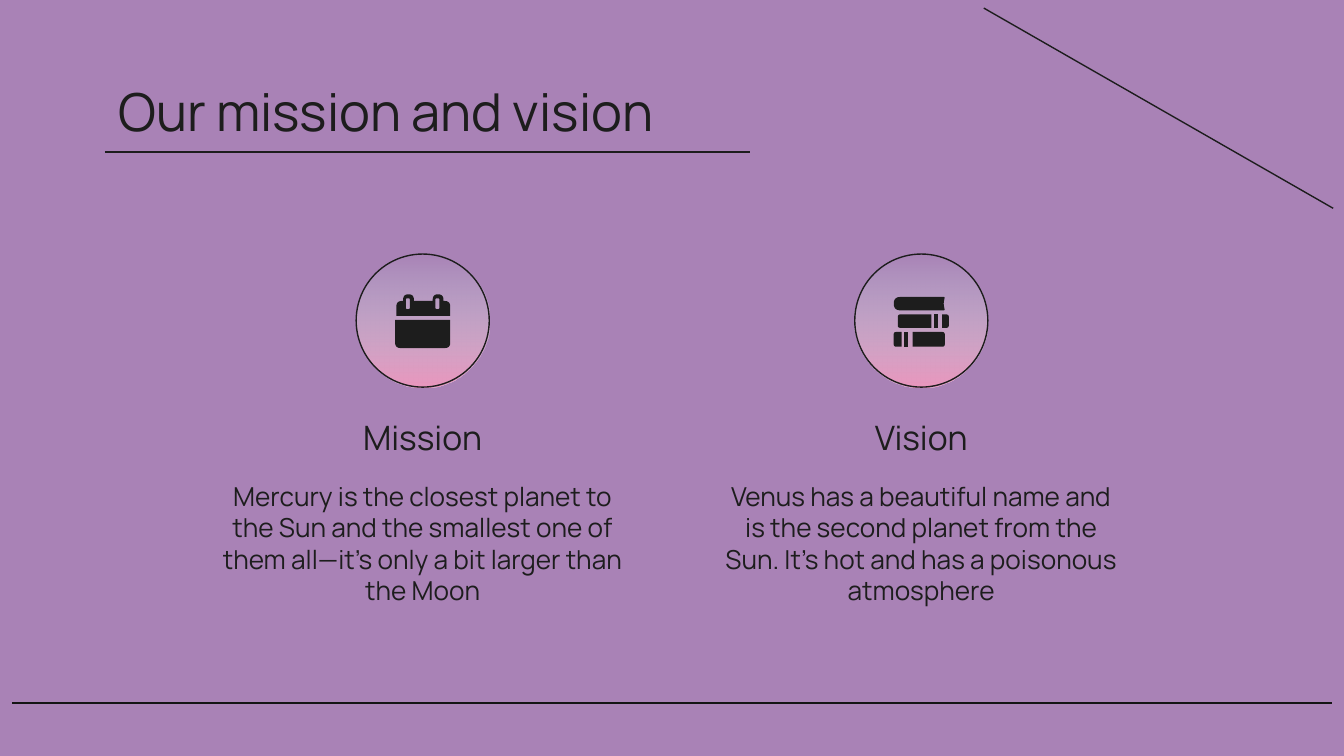
from math import hypot

from lxml import etree
from pptx import Presentation
from pptx.dml.color import RGBColor
from pptx.enum.shapes import MSO_CONNECTOR, MSO_SHAPE
from pptx.enum.text import MSO_ANCHOR, MSO_AUTO_SIZE, PP_ALIGN
from pptx.oxml.ns import qn
from pptx.util import Inches, Pt

STRAIGHT = MSO_CONNECTOR.STRAIGHT
OVAL = MSO_SHAPE.OVAL
MIDDLE = MSO_ANCHOR.MIDDLE
NO_AUTOFIT = MSO_AUTO_SIZE.NONE
LEFT, CENTER = PP_ALIGN.LEFT, PP_ALIGN.CENTER
COMPARISON_LAYOUT = 4
CURVE_STEPS = 6


def color(hex_code):
    return RGBColor.from_string(hex_code)


def rounded(vertices):
    """Return the outline through (x, y, radius) vertices with rounded corners."""
    outline = []
    for i, (x, y, radius) in enumerate(vertices):
        if not radius:
            outline.append((x, y))
            continue
        ends = []
        for nx, ny, _ in (vertices[i - 1], vertices[(i + 1) % len(vertices)]):
            share = radius / hypot(nx - x, ny - y)
            ends.append((x + (nx - x) * share, y + (ny - y) * share))
        (ax, ay), (bx, by) = ends
        for step in range(CURVE_STEPS + 1):
            t = step / CURVE_STEPS
            a, corner, b = (1 - t) ** 2, 2 * t * (1 - t), t * t
            outline.append((a * ax + corner * x + b * bx,
                            a * ay + corner * y + b * by))
    return outline


def block(left, top, right, bottom, left_radius=0, right_radius=0):
    return rounded([(left, top, left_radius), (right, top, right_radius),
                    (right, bottom, right_radius), (left, bottom, left_radius)])


class SlidePainter:
    font = "Manrope"
    ink = "1D1D1D"
    line_width = 0.75

    def __init__(self, slide):
        self.slide = slide

    def background(self, hex_code):
        fill = self.slide.background.fill
        fill.solid()
        fill.fore_color.rgb = color(hex_code)

    def text(self, placeholder, box, wording, size, align=LEFT, line_height=None):
        (placeholder.left, placeholder.top,
         placeholder.width, placeholder.height) = map(Inches, box)
        frame = placeholder.text_frame
        frame.word_wrap = True
        frame.auto_size = NO_AUTOFIT
        frame.vertical_anchor = MIDDLE
        frame.margin_left = frame.margin_right = Inches(0.1)
        frame.margin_top = frame.margin_bottom = Inches(0.1)
        paragraph = frame.paragraphs[0]
        paragraph.alignment = align
        paragraph.space_before = Pt(0)
        if line_height:
            paragraph.line_spacing = Pt(line_height)
        properties = paragraph._p.get_or_add_pPr()
        properties.set("marL", "0")
        properties.set("indent", "0")
        etree.SubElement(properties, qn("a:buNone"))
        run = paragraph.add_run()
        run.text = wording
        run.font.name = self.font
        run.font.size = Pt(size)
        run.font.bold = False
        run.font.color.rgb = color(self.ink)

    def line(self, start, end, hex_code=ink):
        connector = self.slide.shapes.add_connector(
            STRAIGHT, *map(Inches, start + end))
        connector.line.color.rgb = color(hex_code)
        connector.line.width = Pt(self.line_width)
        etree.SubElement(connector._element.spPr, qn("a:effectLst"))

    def gradient_circle(self, left, top, size, top_color, bottom_color):
        """Draw a circle that fades from transparent down to bottom_color."""
        circle = self.slide.shapes.add_shape(
            OVAL, *map(Inches, (left, top, size, size)))
        circle.shadow.inherit = False
        circle.line.color.rgb = color(self.ink)
        circle.line.width = Pt(self.line_width)
        circle.fill.gradient()
        circle.fill.gradient_angle = 270
        first, last = circle.fill.gradient_stops
        first.position, last.position = 0, 1
        first.color.rgb = color(top_color)
        last.color.rgb = color(bottom_color)
        first_color = circle._element.spPr.find(".//" + qn("a:srgbClr"))
        etree.SubElement(first_color, qn("a:alpha"), val="0")

    def icon(self, parts):
        """Group filled parts, each a list of outlines (holes after the first)."""
        pieces = []
        for outlines in parts:
            outlines = [[(Inches(x), Inches(y)) for x, y in outline]
                        for outline in outlines]
            builder = self.slide.shapes.build_freeform(*outlines[0][0])
            builder.add_line_segments(outlines[0][1:])
            for hole in outlines[1:]:
                builder.move_to(*hole[0])
                builder.add_line_segments(hole[1:])
            piece = builder.convert_to_shape()
            piece.shadow.inherit = False
            piece.fill.solid()
            piece.fill.fore_color.rgb = color(self.ink)
            piece.line.fill.background()
            pieces.append(piece)
        self.slide.shapes.add_group_shape(pieces)


def calendar_parts():
    top, bar, bottom = 2.19, 2.24, 2.35
    header = [(2.95, bottom, 0), (2.95, bar, 0.04)]
    holes = []
    for ring in (3.0, 3.22):
        header += [(ring, bar, 0), (ring, top, 0.04),
                   (ring + 0.08, top, 0.04), (ring + 0.08, bar, 0)]
        holes.append(block(ring + 0.02, 2.22, ring + 0.05, 2.3, 0.01, 0.01))
    header += [(3.35, bar, 0.04), (3.35, bottom, 0)]
    page = [(2.94, 2.38, 0), (3.35, 2.38, 0), (3.35, 2.59, 0.04), (2.94, 2.59, 0.04)]
    return [[rounded(header)] + holes, [rounded(page)]]


def book_parts():
    top_book = [(6.65, 2.21, 0.05), (7.03, 2.21, 0.01), (7.02, 2.26, 0.02),
                (7.03, 2.31, 0.01), (6.65, 2.31, 0.05)]
    middle, low = (2.34, 2.44), (2.47, 2.58)
    sections = [(6.68, 6.93, middle, 0.02, 0), (6.95, 6.98, middle, 0, 0),
                (7.01, 7.06, middle, 0, 0.02), (6.65, 6.71, low, 0.02, 0),
                (6.73, 6.76, low, 0, 0), (6.79, 7.03, low, 0, 0.02)]
    return [[rounded(top_book)]] + [
        [block(left, top, right, bottom, left_radius, right_radius)]
        for left, right, (top, bottom), left_radius, right_radius in sections]


def main():
    presentation = Presentation()
    presentation.slide_width = Inches(10)
    presentation.slide_height = Inches(10 * 9 / 16)
    slide = presentation.slides.add_slide(
        presentation.slide_layouts[COMPARISON_LAYOUT])
    title, *column_holders = slide.placeholders
    painter = SlidePainter(slide)

    painter.background("A982B6")
    painter.line((0.09, 5.23), (9.91, 5.23), "141414")
    painter.line((7.32, 0.06), (9.92, 1.55))
    painter.text(title, (0.78, 0.51, 5.66, 0.63), "Our mission and vision", 28)
    painter.line((0.78, 1.13), (5.58, 1.13))

    columns = [
        ("Mission", "Mercury is the closest planet to the Sun and the smallest "
         "one of them all—it’s only a bit larger than the Moon", calendar_parts()),
        ("Vision", "Venus has a beautiful name and is the second planet from the "
         "Sun. It’s hot and has a poisonous atmosphere", book_parts()),
    ]
    column_width, circle_size = 3.19, 0.99
    for i, (heading, description, icon) in enumerate(columns):
        left = 1.55 + 3.71 * i
        heading_holder, description_holder = column_holders[2 * i:2 * i + 2]
        painter.gradient_circle(left + (column_width - circle_size) / 2, 1.89,
                                circle_size, "CCE9E9", "EB97BE")
        painter.icon(icon)
        painter.text(heading_holder, (left, 3.07, column_width, 0.37),
                     heading, 18, CENTER)
        painter.text(description_holder, (left, 3.52, column_width, 1.04),
                     description, 14, CENTER, line_height=16.8)

    presentation.save("out.pptx")


if __name__ == "__main__":
    main()
